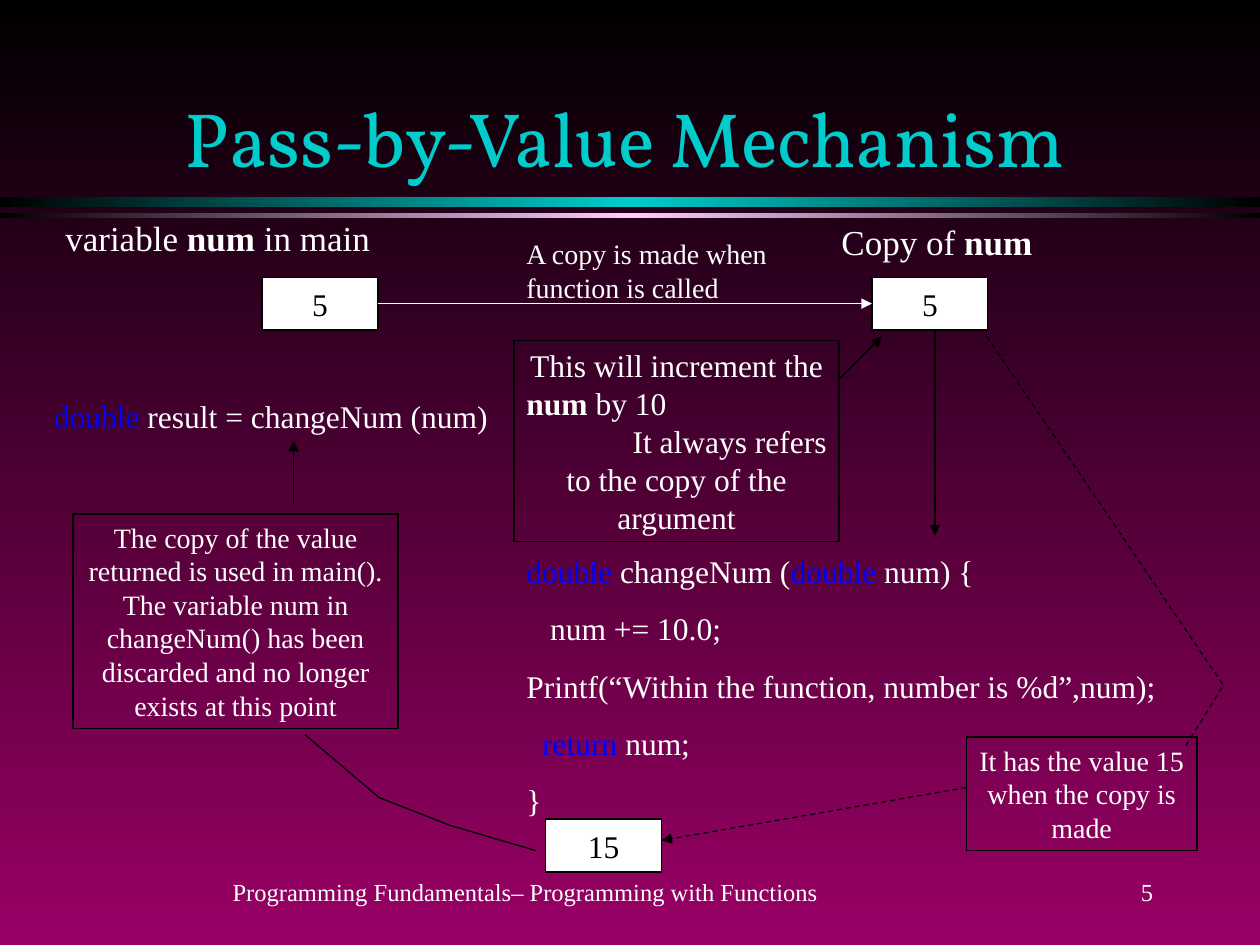
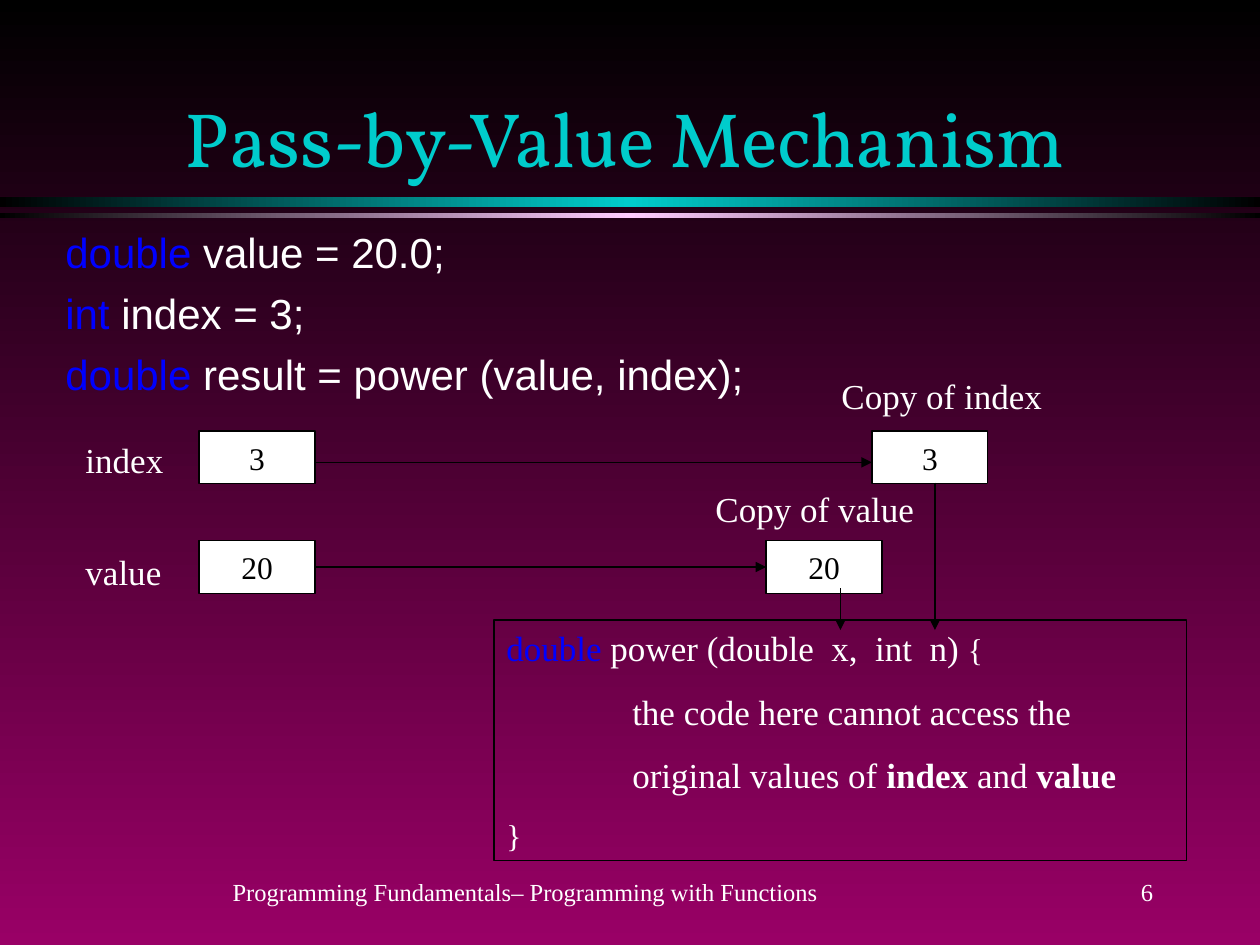
from copy import deepcopy

from lxml.etree import SubElement
from pptx import Presentation
from pptx.dml.color import RGBColor
from pptx.enum.dml import MSO_LINE
from pptx.enum.shapes import MSO_CONNECTOR, MSO_SHAPE
from pptx.enum.text import MSO_ANCHOR, PP_ALIGN
from pptx.oxml.ns import qn
from pptx.util import Inches, Pt

BLACK = RGBColor(0x00, 0x00, 0x00)
WHITE = RGBColor(0xFF, 0xFF, 0xFF)
PURPLE = RGBColor(0x99, 0x00, 0x66)
TEAL = RGBColor(0x00, 0xCC, 0xCC)
PINK = RGBColor(0xFF, 0xCC, 0xFF)
BLUE = RGBColor(0x00, 0x00, 0xFF)

TITLE = "Pass-by-Value Mechanism"
FOOTER = "Programming Fundamentals– Programming with Functions"
BODY_FONT = "Times New Roman"
TITLE_FONT = "Vollkorn"
CODE_FONT = "Arial"
CELL_WIDTH, CELL_HEIGHT = 0.92, 0.42
LINE_WIDTH = Pt(0.75)

BOLD = {"bold": True}
KEYWORD = {"color": BLUE}


def set_gradient(fill, angle, *colors):
    """Fill with evenly spaced colours; the angle runs anticlockwise."""
    fill.gradient()
    fill.gradient_angle = angle
    if len(colors) == 3:
        first = fill.gradient_stops[0]._gs
        first.addnext(deepcopy(first))
    for index, (stop, color) in enumerate(zip(fill.gradient_stops, colors)):
        stop.color.rgb = color
        stop.position = index / (len(colors) - 1)


def add_band(slide, top, height, color):
    band = slide.shapes.add_shape(MSO_SHAPE.RECTANGLE, 0, Inches(top), Inches(10), Inches(height))
    band.shadow.inherit = False
    band.line.fill.background()
    set_gradient(band.fill, 0, BLACK, color, BLACK)


def set_line(shape, color=BLACK, dashed=False):
    shape.line.color.rgb = color
    shape.line.width = LINE_WIDTH
    if dashed:
        shape.line.dash_style = MSO_LINE.DASH


def write(shape, paragraphs, size, color=WHITE, font=BODY_FONT, align=PP_ALIGN.LEFT,
          anchor=MSO_ANCHOR.TOP, wrap=True, gap=0):
    """Fill a shape with paragraphs.

    A paragraph is a string, a list of spans, or a (spans, format) pair;
    a span is a string or a (text, format) pair.
    """
    frame = shape.text_frame
    frame.word_wrap = wrap
    frame.vertical_anchor = anchor
    for index, content in enumerate(paragraphs):
        para = frame.add_paragraph() if index else frame.paragraphs[0]
        spans, layout = content if isinstance(content, tuple) else (content, {})
        layout = {"alignment": align, "space_before": Pt(gap if index else 0), **layout}
        indent = layout.pop("indent", 0)
        if indent:
            para._p.get_or_add_pPr().set("marL", str(Inches(indent)))
        for name, value in layout.items():
            setattr(para, name, value)
        for span in [spans] if isinstance(spans, str) else spans:
            text, changes = span if isinstance(span, tuple) else (span, {})
            run = para.add_run()
            run.text = text
            style = {"name": font, "size": Pt(size), **changes}
            run.font.color.rgb = style.pop("color", color)
            for name, value in style.items():
                setattr(run.font, name, value)


def add_text(slide, left, top, width, height, paragraphs, size, **options):
    box = slide.shapes.add_textbox(Inches(left), Inches(top), Inches(width), Inches(height))
    write(box, paragraphs, size, **options)


def add_box(slide, left, top, width, height, paragraphs, size, fill=None, **options):
    """Add an outlined rectangle with text."""
    box = slide.shapes.add_shape(MSO_SHAPE.RECTANGLE, Inches(left), Inches(top),
                                 Inches(width), Inches(height))
    box.shadow.inherit = False
    if fill is None:
        box.fill.background()
    else:
        box.fill.solid()
        box.fill.fore_color.rgb = fill
    set_line(box)
    write(box, paragraphs, size, **options)
    return box


def add_cell(slide, left, top, value):
    """Add a white memory cell that holds a variable's value."""
    return add_box(slide, left, top, CELL_WIDTH, CELL_HEIGHT, [value], 18, fill=WHITE,
                   color=BLACK, align=PP_ALIGN.CENTER, anchor=MSO_ANCHOR.MIDDLE, wrap=False)


def add_label(slide, left, top, width, spans):
    add_text(slide, left, top, width, 0.44, [spans], 20)


def add_arrow(slide, start, end, color=BLACK, dashed=False):
    arrow = slide.shapes.add_connector(MSO_CONNECTOR.STRAIGHT, *map(Inches, start + end))
    set_line(arrow, color, dashed)
    SubElement(arrow.line._get_or_add_ln(), qn("a:tailEnd"), type="triangle")
    SubElement(arrow._element.spPr, qn("a:effectLst"))
    return arrow


def join_cells(slide, source, target, color=BLACK):
    """Draw an arrow from the right side of one cell to the left side of another."""
    arrow = add_arrow(slide, (0, 0), (1, 1), color)
    arrow.begin_connect(source, 3)
    arrow.end_connect(target, 1)


def add_bent_line(slide, points, dashed=False):
    start, *rest = [tuple(map(Inches, point)) for point in points]
    builder = slide.shapes.build_freeform(*start)
    builder.add_line_segments(rest, close=False)
    line = builder.convert_to_shape()
    line.shadow.inherit = False
    line.fill.background()
    set_line(line, dashed=dashed)


def add_page(deck, number):
    """Add a slide with the shared background, bands, footer and title."""
    slide = deck.slides.add_slide(deck.slide_layouts[6])
    set_gradient(slide.background.fill, 270, BLACK, PURPLE)
    add_band(slide, 1.56, 0.08, TEAL)
    add_band(slide, 1.69, 0.04, PINK)
    footer = {"anchor": MSO_ANCHOR.MIDDLE, "wrap": False}
    add_text(slide, 1.67, 6.83, 5, 0.5, [FOOTER], 14, align=PP_ALIGN.CENTER, **footer)
    add_text(slide, 7.17, 6.83, 2.08, 0.5, [str(number)], 14, align=PP_ALIGN.RIGHT, **footer)
    add_text(slide, 0.67, 0.25, 8.58, 1.25, [TITLE], 44, color=TEAL, font=TITLE_FONT,
             align=PP_ALIGN.CENTER, anchor=MSO_ANCHOR.BOTTOM)
    return slide


def build_change_num(deck):
    slide = add_page(deck, 5)
    num = add_cell(slide, 2.08, 2.2, "5")
    add_label(slide, 0.42, 1.67, 2.83, ["variable ", ("num", BOLD), " in main"])
    num_copy = add_cell(slide, 6.92, 2.2, "5")
    add_label(slide, 6.58, 1.7, 2, ["Copy of ", ("num", BOLD)])
    add_text(slide, 0.33, 3.1, 3.83, 0.4,
             [[("double", KEYWORD), " result = changeNum (num)"]], 18)
    join_cells(slide, num, num_copy, WHITE)
    add_arrow(slide, (6.67, 3), (7, 2.67))
    add_arrow(slide, (7.42, 2.61), (7.42, 4.25))

    add_box(slide, 4.08, 2.7, 2.58, 1.6, [
        "This will increment the",
        ([("num", BOLD), " by 10"], {"alignment": PP_ALIGN.LEFT}),
        ("It always refers", {"alignment": PP_ALIGN.RIGHT}),
        "to the copy of the argument",
    ], 18, align=PP_ALIGN.CENTER)
    add_text(slide, 4.08, 4.33, 5.25, 2.23, [
        [("double", KEYWORD), " changeNum (", ("double", KEYWORD), " num) {"],
        "   num += 10.0;",
        "Printf(“Within the function, number is %d”,num);",
        ["  ", ("return", KEYWORD), " num;"],
        "}",
    ], 18, gap=11.2)
    add_box(slide, 0.58, 4.08, 2.58, 1.7, [
        "The copy of the value returned is used in main(). The variable num in "
        "changeNum() has been discarded and no longer exists at this point",
    ], 16, align=PP_ALIGN.CENTER)
    add_cell(slide, 4.33, 6.5, "15")
    add_bent_line(slide, [(4.25, 6.75), (3.57, 6.55), (3.01, 6.33), (2.42, 5.83)])
    add_arrow(slide, (2.33, 4), (2.33, 3.5))
    add_bent_line(slide, [(7.83, 2.67), (9.71, 5.44), (9.41, 5.92)], dashed=True)
    add_box(slide, 7.67, 5.85, 1.83, 0.9, ["It has the value 15 when the copy is made"], 16,
            align=PP_ALIGN.CENTER)
    add_arrow(slide, (7.67, 6.25), (5.25, 6.67), dashed=True)
    add_text(slide, 4.08, 1.83, 2.17, 0.64, ["A copy is made when function is called"], 16)


def build_power(deck):
    slide = add_page(deck, 6)
    add_text(slide, 0.42, 1.75, 9.08, 1.67, [
        [("double", KEYWORD), " value = 20.0;"],
        [("int ", KEYWORD), "index = 3;"],
        [("double", KEYWORD), " result = power (value, index);"],
    ], 24, font=CODE_FONT, gap=6)

    add_cell(slide, 1.58, 3.42, "3")
    add_label(slide, 0.58, 3.43, 0.92, "index")
    add_cell(slide, 6.92, 3.42, "3")
    add_label(slide, 6.58, 2.92, 2, "Copy of index")
    add_arrow(slide, (2.5, 3.67), (6.92, 3.67))

    value = add_cell(slide, 1.58, 4.29, "20")
    add_label(slide, 0.58, 4.32, 0.92, "value")
    value_copy = add_cell(slide, 6.08, 4.29, "20")
    add_label(slide, 5.58, 3.82, 1.83, "Copy of value")
    join_cells(slide, value, value_copy)

    brace = {"size": Pt(18)}
    add_box(slide, 3.92, 4.92, 5.5, 1.91, [
        [("double", KEYWORD), " power (double  x,  int  n) ", ("{", brace)],
        ("the code here cannot access the", {"indent": 1}),
        (["original values of ", ("index", BOLD), " and ", ("value", BOLD)], {"indent": 1}),
        ([("}", brace)], {"space_before": Pt(11.2)}),
    ], 20, gap=12.5)
    add_arrow(slide, (6.67, 4.67), (6.67, 5))
    add_arrow(slide, (7.42, 3.83), (7.42, 5))


def main():
    deck = Presentation()
    deck.slide_width, deck.slide_height = Inches(10), Inches(7.5)
    build_change_num(deck)
    build_power(deck)
    deck.save("out.pptx")


if __name__ == "__main__":
    main()
